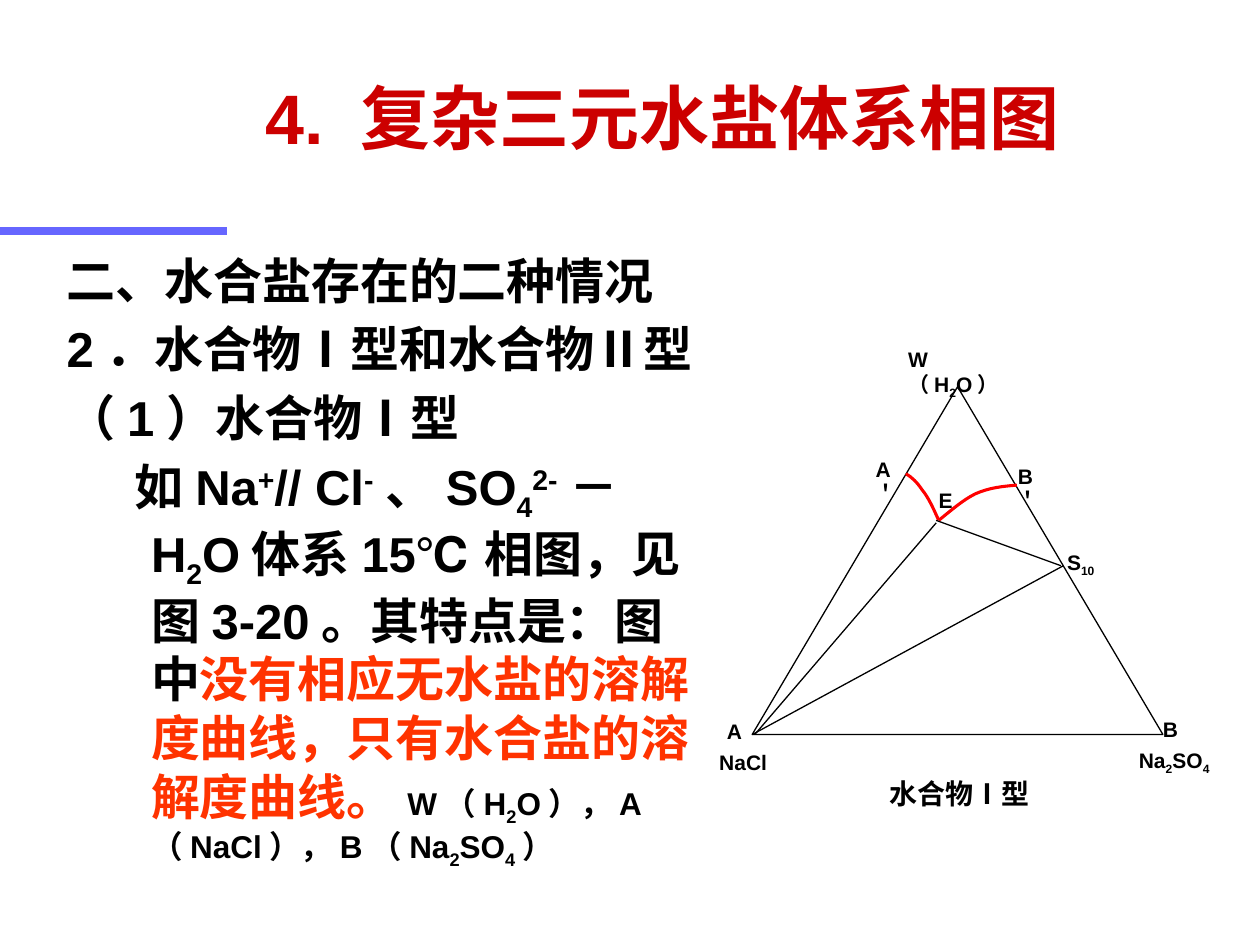
from dataclasses import dataclass

from lxml import etree
from pptx import Presentation
from pptx.dml.color import RGBColor
from pptx.enum.shapes import MSO_CONNECTOR, MSO_SHAPE
from pptx.enum.text import MSO_ANCHOR, PP_ALIGN
from pptx.oxml.ns import qn
from pptx.util import Inches, Pt


@dataclass(frozen=True)
class Theme:
    font: str = "Arial"
    heading_font: str = "Noto Sans CJK SC"
    black: str = "000000"
    white: str = "FFFFFF"
    title_red: str = "CC0000"
    accent: str = "FF3300"
    curve_red: str = "FF0000"
    rule_blue: str = "6666FF"
    title: int = 40
    body: int = 28
    note: int = 18
    caption: int = 16
    label: int = 12


THEME = Theme()

# In every text, "|" starts a new run; "_" lowers that run and "^" raises it.
TITLE = "4. 复杂三元水盐体系相图"
HEADINGS = [
    ("二、水合盐存在的二种情况", dict(font=THEME.heading_font, line_spacing=1.25)),
    ("2．水合物Ⅰ型和水合物Ⅱ型", dict(before=5.6)),
    ("（1）水合物Ⅰ型", dict(before=5.6)),
]
EXPLANATION = [
    ("如Na|^+|// Cl|^-|、SO|_4|^2-|－H|_2|O体系15℃相图，见图3-20。其特点是：图中", {}),
    ("没有相应无水盐的溶解度曲线，只有水合盐的溶解度曲线。", dict(color=THEME.accent)),
    ("W（H|_2|O），A（NaCl），B（Na|_2|SO|_4|）", dict(size=THEME.note)),
]

TRIANGLE = (5.97, 3.07, 3.26, 2.76)
CURVES = [
    [(7.19, 3.76), (7.24, 3.79), (7.28, 3.83), (7.32, 3.89),
     (7.37, 3.95), (7.41, 4.04), (7.45, 4.13)],
    [(7.45, 4.13), (7.55, 4.05), (7.64, 3.97), (7.74, 3.92),
     (7.85, 3.87), (7.96, 3.86), (8.07, 3.85)],
]
TIE_LINES = [
    ((7.43, 4.15), (5.99, 5.83)),
    ((7.43, 4.13), (8.42, 4.49)),
    ((8.44, 4.49), (5.97, 5.83)),
]
POINT_LABELS = [
    ("W（H|_2|O）", (7.11, 2.7, 1.05, 0.43)),
    ("B＇", (7.98, 3.63, 0.52, 0.59)),
    ("A＇", (6.85, 3.57, 0.52, 0.59)),
    ("E", (7.35, 3.82, 0.52, 0.36)),
    ("S|_10", (8.37, 4.31, 0.52, 0.59)),
    ("A", (5.67, 5.65, 0.52, 0.59)),
    ("B", (9.13, 5.64, 0.52, 0.59)),
]
SALT_LABELS = [
    ("NaCl", (5.61, 5.9, 0.81, 0.26)),
    ("Na|_2|SO|_4", (8.94, 5.88, 0.94, 0.26)),
]
CAPTION = ("水合物Ⅰ型", (6.56, 6.11, 2.11, 0.59))
BASELINES = {"_": "-25000", "^": "30000"}


def rgb(color):
    return RGBColor.from_string(color)


def add_frame(slide, box, anchor=MSO_ANCHOR.TOP):
    frame = slide.shapes.add_textbox(*map(Inches, box)).text_frame
    frame.word_wrap = True
    frame.vertical_anchor = anchor
    return frame


def write(paragraph, text, size=THEME.label, color=THEME.black, font=THEME.font,
          align=None, before=None, line_spacing=None, margin=None, indent=0):
    """Append marked-up text to a paragraph; paragraph options apply when given."""
    if align is not None:
        paragraph.alignment = align
    if before is not None:
        paragraph.space_before = Pt(before)
    if line_spacing is not None:
        paragraph.line_spacing = line_spacing
    if margin is not None:
        properties = paragraph._p.get_or_add_pPr()
        properties.set("marL", str(Inches(margin)))
        properties.set("indent", str(Inches(indent)))
    for piece in text.split("|"):
        baseline = BASELINES.get(piece[0])
        run = paragraph.add_run()
        run.text = piece[1:] if baseline else piece
        run.font.size = Pt(size)
        run.font.bold = True
        run.font.name = font
        run.font.color.rgb = rgb(color)
        etree.SubElement(run.font._element, qn("a:ea"), typeface=font)
        if baseline:
            run.font._element.set("baseline", baseline)


def add_line(slide, start, end, color=THEME.black, width=0.75):
    line = slide.shapes.add_connector(
        MSO_CONNECTOR.STRAIGHT, *map(Inches, (*start, *end)))
    line.line.color.rgb = rgb(color)
    line.line.width = Pt(width)
    etree.SubElement(line._element.spPr, qn("a:effectLst"))


def add_curve(slide, points):
    """Draw a start point followed by cubic segments of three points each."""
    start, *rest = [(Inches(x), Inches(y)) for x, y in points]
    builder = slide.shapes.build_freeform(*start)
    builder.add_line_segments(rest, close=False)
    curve = builder.convert_to_shape()
    outline = next(curve._element.iter(qn("a:path")))
    segments = outline.findall(qn("a:lnTo"))
    for first in range(0, len(segments), 3):
        cubic = etree.SubElement(outline, qn("a:cubicBezTo"))
        for segment in segments[first:first + 3]:
            cubic.append(segment[0])
            outline.remove(segment)
    curve.shadow.inherit = False
    curve.fill.background()
    curve.line.color.rgb = rgb(THEME.curve_red)
    curve.line.width = Pt(1.75)


def add_body(slide):
    frame = add_frame(slide, (0.43, 1.82, 5.25, 5.25))
    paragraph = frame.paragraphs[0]
    for text, options in HEADINGS:
        write(paragraph, text, size=THEME.body, margin=0.67, indent=-0.67, **options)
        paragraph = frame.add_paragraph()
    paragraph.space_before = Pt(5.6)
    for text, options in EXPLANATION:
        write(paragraph, text, margin=0.67, indent=-0.13,
              **{"size": THEME.body, **options})


def add_diagram(slide):
    triangle = slide.shapes.add_shape(
        MSO_SHAPE.ISOSCELES_TRIANGLE, *map(Inches, TRIANGLE))
    triangle.shadow.inherit = False
    triangle.fill.solid()
    triangle.fill.fore_color.rgb = rgb(THEME.white)
    triangle.line.color.rgb = rgb(THEME.black)
    triangle.line.width = Pt(0.75)
    for points in CURVES:
        add_curve(slide, points)
    for start, end in TIE_LINES:
        add_line(slide, start, end)
    for text, box in POINT_LABELS:
        write(add_frame(slide, box).paragraphs[0], text, align=PP_ALIGN.JUSTIFY)
    for text, box in SALT_LABELS:
        write(add_frame(slide, box).paragraphs[0], text)
    text, box = CAPTION
    write(add_frame(slide, box).paragraphs[0], text,
          size=THEME.caption, align=PP_ALIGN.CENTER)


def main():
    deck = Presentation()
    deck.slide_width, deck.slide_height = Inches(10), Inches(7.5)
    slide = deck.slides.add_slide(deck.slide_layouts[6])
    add_line(slide, (0, 1.83), (1.8, 1.83), color=THEME.rule_blue, width=4.5)
    add_body(slide)
    add_diagram(slide)
    title = add_frame(slide, (2.01, 0.3, 7.49, 1.25), anchor=MSO_ANCHOR.MIDDLE)
    write(title.paragraphs[0], TITLE, size=THEME.title, color=THEME.title_red)
    deck.save("out.pptx")


if __name__ == "__main__":
    main()
